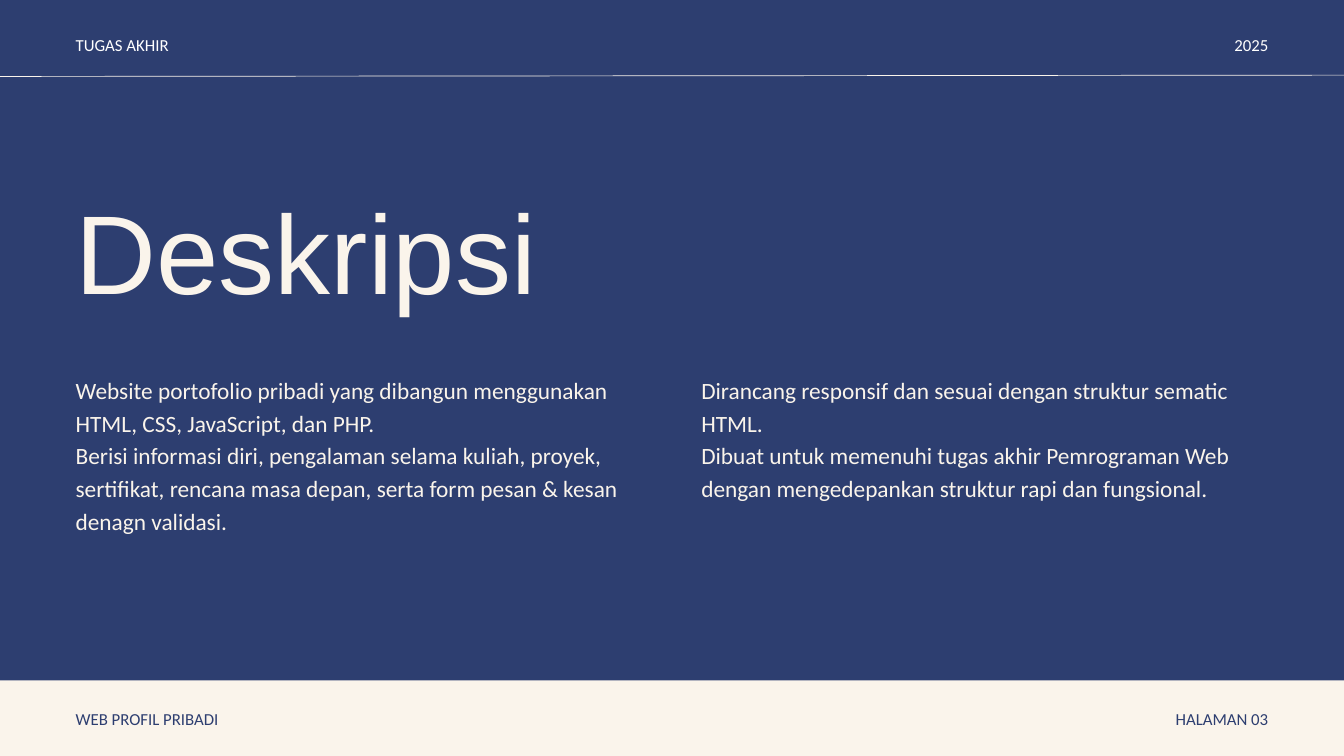
from dataclasses import dataclass

from lxml import etree
from pptx import Presentation
from pptx import util as u
from pptx.dml.color import RGBColor
from pptx.enum import shapes, text
from pptx.oxml import ns

NAVY, CREAM, WHITE = "2D3E70", "FAF4EB", "FFFFFF"
PAGE_WIDTH, PAGE_HEIGHT = 50.8, 28.58
MARGIN = 2.86
FOOTER_HEIGHT = 2.86
LABEL_WIDTH, LABEL_HEIGHT = 13.02, 0.86
LABEL_RIGHT = PAGE_WIDTH - MARGIN - LABEL_WIDTH
HEADER_TOP, FOOTER_TOP = 1.19, 26.67
BODY_TOP, BODY_HEIGHT = 14.05, 6.07
LEADING = 1.4


@dataclass
class TextBlock:
    left: float
    top: float
    width: float
    height: float
    lines: list[str]
    size: float = 18
    colour: str = CREAM
    font: str = "Calibri"
    align: text.PP_ALIGN = text.PP_ALIGN.LEFT


def label(words: str, top: float, colour: str, right: bool = False) -> TextBlock:
    """Describe a small header or footer label at the left or right margin."""
    return TextBlock(LABEL_RIGHT if right else MARGIN, top, LABEL_WIDTH, LABEL_HEIGHT,
                     [words], colour=colour,
                     align=text.PP_ALIGN.RIGHT if right else text.PP_ALIGN.LEFT)


BLOCKS = [
    label("TUGAS AKHIR", HEADER_TOP, WHITE),
    label("2025", HEADER_TOP, WHITE, right=True),
    label("WEB PROFIL PRIBADI", FOOTER_TOP, NAVY),
    label("HALAMAN 03", FOOTER_TOP, NAVY, right=True),
    TextBlock(MARGIN, 6.05, 32.05, 6.05, ["Deskripsi"], size=120, font="Arial"),
    TextBlock(MARGIN, BODY_TOP, 22.55, BODY_HEIGHT, [
        "Website portofolio pribadi yang dibangun menggunakan HTML, CSS, JavaScript, dan PHP.",
        "Berisi informasi diri, pengalaman selama kuliah, proyek, sertifikat, "
        "rencana masa depan, serta form pesan & kesan denagn validasi.",
    ], size=25),
    TextBlock(26.51, BODY_TOP, 21.43, BODY_HEIGHT, [
        "Dirancang responsif dan sesuai dengan struktur sematic HTML.",
        "Dibuat untuk memenuhi tugas akhir Pemrograman Web dengan "
        "mengedepankan struktur rapi dan fungsional.",
    ], size=25),
]


def paint(target, colour: str) -> None:
    """Give a fill a solid colour."""
    target.solid()
    target.fore_color.rgb = RGBColor.from_string(colour)


def apply_format(target, values: dict) -> None:
    for name, value in values.items():
        setattr(target, name, value)


def draw_rule(page) -> None:
    rule = page.shapes.add_connector(shapes.MSO_CONNECTOR.STRAIGHT, u.Cm(0), u.Cm(2.89),
                                     u.Cm(PAGE_WIDTH), u.Cm(2.84))
    paint(rule.line.fill, CREAM)
    rule.line.width = u.Pt(0.75)
    etree.SubElement(rule._element.spPr, ns.qn("a:effectLst"))


def draw_footer(page) -> None:
    band = page.shapes.add_shape(shapes.MSO_SHAPE.RECTANGLE, u.Cm(0),
                                 u.Cm(PAGE_HEIGHT - FOOTER_HEIGHT),
                                 u.Cm(PAGE_WIDTH), u.Cm(FOOTER_HEIGHT))
    band.shadow.inherit = False
    paint(band.fill, CREAM)
    band.line.fill.background()


def draw_text(page, block: TextBlock) -> None:
    box = page.shapes.add_textbox(u.Cm(block.left), u.Cm(block.top),
                                  u.Cm(block.width), u.Cm(block.height))
    frame = box.text_frame
    apply_format(frame, {
        "word_wrap": True, "auto_size": text.MSO_AUTO_SIZE.SHAPE_TO_FIT_TEXT,
        "margin_left": 0, "margin_top": 0, "margin_right": 0, "margin_bottom": 0,
    })
    for index, line in enumerate(block.lines):
        para = frame.add_paragraph() if index else frame.paragraphs[0]
        apply_format(para, {"alignment": block.align,
                            "line_spacing": u.Pt(block.size * LEADING)})
        span = para.add_run()
        span.text = line
        apply_format(span.font, {"name": block.font, "size": u.Pt(block.size)})
        paint(span.font.fill, block.colour)


def main() -> None:
    deck = Presentation()
    apply_format(deck, {"slide_width": u.Cm(PAGE_WIDTH), "slide_height": u.Cm(PAGE_HEIGHT)})
    page = deck.slides.add_slide(deck.slide_layouts[6])
    paint(page.background.fill, NAVY)
    draw_rule(page)
    draw_footer(page)
    for block in BLOCKS:
        draw_text(page, block)
    deck.save("out.pptx")


if __name__ == "__main__":
    main()
